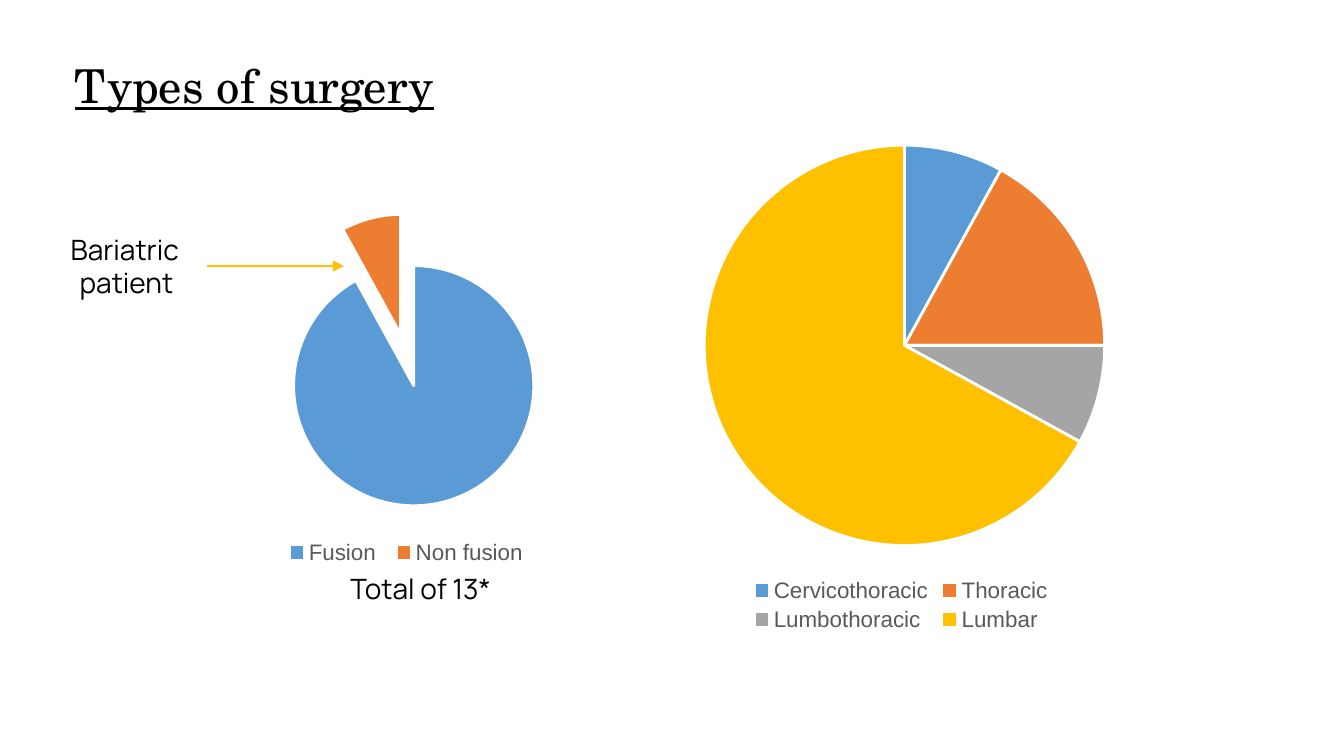
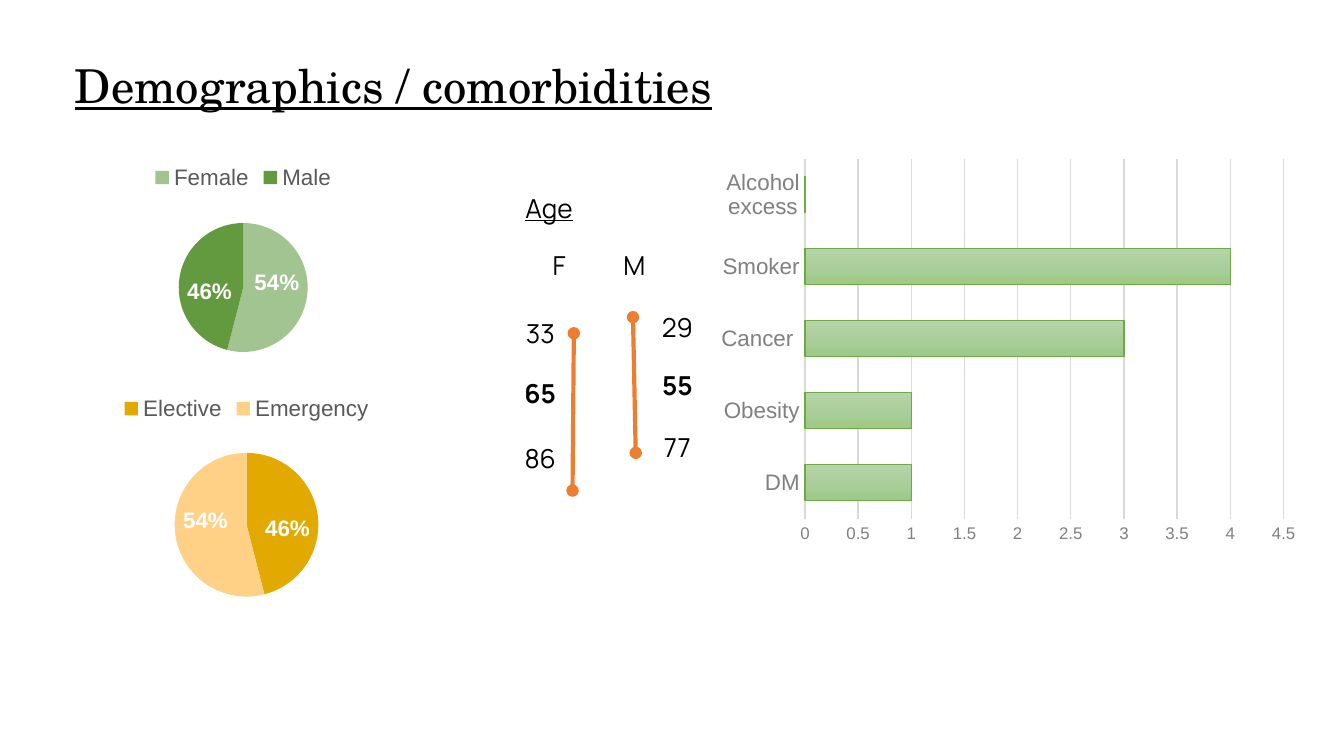
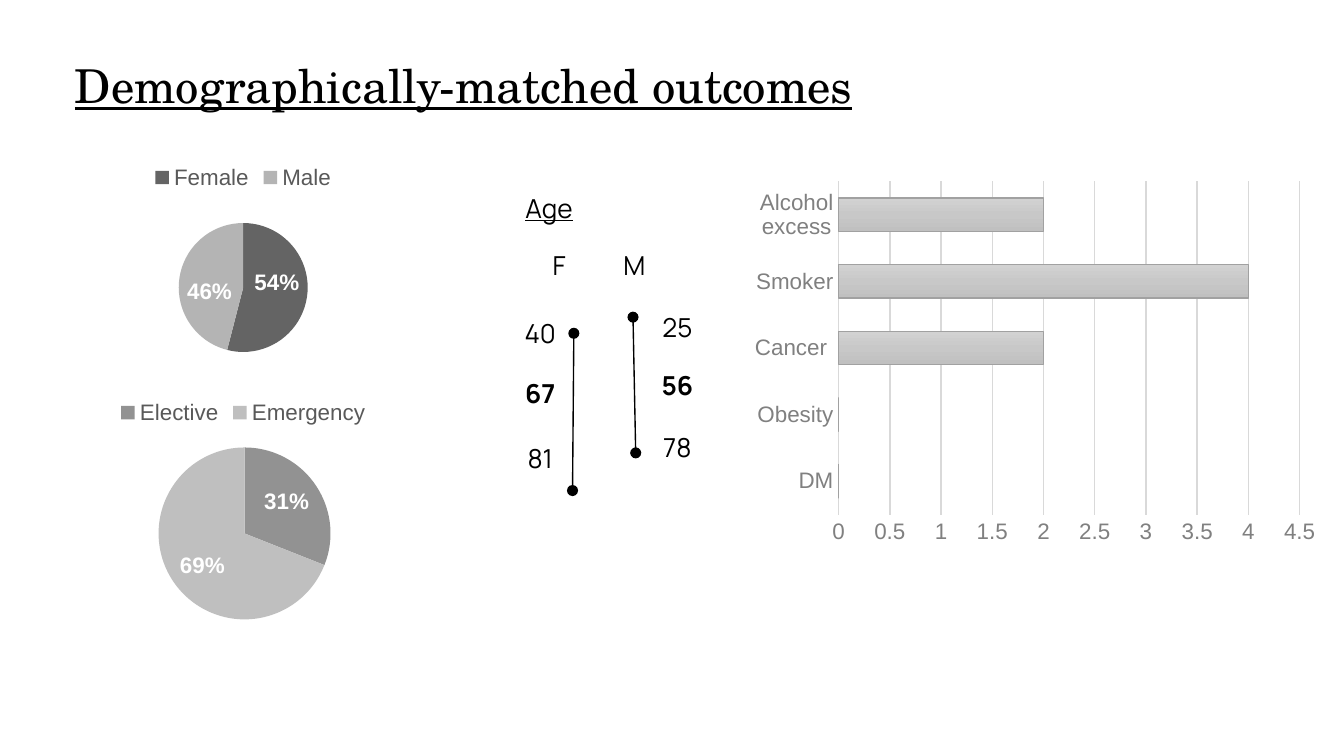
from copy import deepcopy

from lxml import etree
from pptx import Presentation
from pptx.chart.data import CategoryChartData
from pptx.dml.color import RGBColor
from pptx.enum.chart import (XL_CHART_TYPE, XL_LABEL_POSITION,
                             XL_LEGEND_POSITION, XL_TICK_MARK)
from pptx.enum.shapes import MSO_CONNECTOR
from pptx.enum.text import MSO_AUTO_SIZE, PP_ALIGN
from pptx.oxml.ns import qn
from pptx.util import Inches, Pt

PIE = XL_CHART_TYPE.PIE
BAR = XL_CHART_TYPE.BAR_CLUSTERED
TOP = XL_LEGEND_POSITION.TOP
BOTTOM = XL_LEGEND_POSITION.BOTTOM
IN_END = XL_LABEL_POSITION.INSIDE_END
NO_TICK = XL_TICK_MARK.NONE
STRAIGHT = MSO_CONNECTOR.STRAIGHT
GROW, FIXED = MSO_AUTO_SIZE.SHAPE_TO_FIT_TEXT, MSO_AUTO_SIZE.NONE
LEFT, CENTER, RIGHT = PP_ALIGN.LEFT, PP_ALIGN.CENTER, PP_ALIGN.RIGHT

BLACK, WHITE = "000000", "FFFFFF"
DARK, GRAY, PALE = "595959", "808080", "D9D9D9"
BLUE, ORANGE, SILVER, GOLD = "5B9BD5", "ED7D31", "A5A5A5", "FFC000"
HEAD, BODY, LABEL = "TeX Gyre Schola", "Manrope", "Arial"
RISKS = ["DM", "Obesity", "Cancer ", "Smoker", "Alcohol excess"]


def color(code):
    return RGBColor.from_string(code)


def style(font, name, size, code, bold=False, under=False):
    font.name, font.size, font.bold = name, Pt(size), bold
    font.color.rgb = color(code)
    if under:
        font.underline = True


def stroke(line, code, width):
    line.color.rgb = color(code)
    line.width = Pt(width)


class Deck:
    """Holds the shared style and the current slide."""

    def __init__(self):
        self.prs = Presentation()
        self.prs.slide_width = Inches(10)
        self.prs.slide_height = Inches(10 * 9 / 16)
        self.slide = None

    def start(self, title):
        self.slide = self.prs.slides.add_slide(self.prs.slide_layouts[6])
        frame = self.text(title, (0.46, 0.32, 8.9, 0.63), 25, LEFT,
                          name=HEAD, under=True)
        frame.auto_size = FIXED
        frame.margin_top = frame.margin_bottom = Inches(0.1)

    def text(self, words, box, size=14, align=CENTER, name=BODY,
             bold=False, under=False):
        frame = self.slide.shapes.add_textbox(*map(Inches, box)).text_frame
        frame.word_wrap = True
        frame.auto_size = GROW
        para = frame.paragraphs[0]
        para.text = words
        para.alignment = align
        style(para.font, name, size, BLACK, bold, under)
        return frame

    def line(self, start, end, code, width, **ends):
        line = self.slide.shapes.add_connector(
            STRAIGHT, *map(Inches, start + end))
        stroke(line.line, code, width)
        props = line._element.spPr
        for tag, kind in ends.items():
            etree.SubElement(props.find(qn("a:ln")), qn(f"a:{tag}End"), type=kind)
        etree.SubElement(props, qn("a:effectLst"))

    def chart(self, kind, box, plot, names, values):
        data = CategoryChartData()
        data.categories = names
        data.add_series("Series 1", values)
        chart = self.slide.shapes.add_chart(
            kind, *map(Inches, box), data).chart
        style(chart.font, LABEL, 10, BLACK)
        chart.has_title = False
        chart.has_legend = False
        self.place(chart, box, plot)
        return chart

    def place(self, chart, box, plot):
        area = chart._chartSpace.find(".//" + qn("c:plotArea"))
        for old in area.findall(qn("c:layout")):
            area.remove(old)
        layout = etree.Element(qn("c:layout"))
        area.insert(0, layout)
        manual = etree.SubElement(layout, qn("c:manualLayout"))
        x, y, wide, high = box
        left, top, across, down = plot
        parts = {"layoutTarget": "inner", "xMode": "edge", "yMode": "edge",
                 "x": (left - x) / wide, "y": (top - y) / high,
                 "w": across / wide, "h": down / high}
        for tag, value in parts.items():
            etree.SubElement(manual, qn(f"c:{tag}"), val=str(value))

    def pie(self, box, plot, parts, codes, legend=TOP, edge=None, burst=0):
        left, top, size = plot
        chart = self.chart(PIE, box, (left, top, size, size),
                           list(parts), list(parts.values()))
        chart.has_legend = True
        chart.legend.position = legend
        chart.legend.include_in_layout = False
        style(chart.legend.font, LABEL, 12, DARK)
        pie = chart.plots[0]
        pie.vary_by_categories = True
        series = pie.series[0]
        for index, code in enumerate(codes):
            form = series.points[index].format
            form.fill.solid()
            form.fill.fore_color.rgb = color(code)
            if edge:
                stroke(form.line, edge, 1.5)
            else:
                form.line.fill.background()
        if burst:
            node = etree.Element(qn("c:explosion"), val=str(burst))
            series._element.find(qn("c:dPt")).addprevious(node)
        return pie

    def share(self, *args):
        pie = self.pie(*args)
        pie.has_data_labels = True
        labels = pie.data_labels
        labels.show_percentage = True
        labels.show_value = False
        labels.number_format = "0%"
        labels.number_format_is_linked = False
        labels.position = IN_END
        style(labels.font, LABEL, 12, WHITE, True)

    def bars(self, box, plot, values, shades, edge, size):
        chart = self.chart(BAR, box, plot, RISKS, values)
        bar = chart.plots[0]
        bar.gap_width = 100
        bar.vary_by_categories = False
        series = bar.series[0]
        fill = series.format.fill
        fill.gradient()
        fill.gradient_angle = 270
        first = series._element.find(".//" + qn("a:gs"))
        middle = deepcopy(first)
        middle.set("pos", "50000")
        first.addnext(middle)
        for stop, code in zip(fill.gradient_stops, shades):
            stop.color.rgb = color(code)
        stroke(series.format.line, edge, 0.75)
        cats, vals = chart.category_axis, chart.value_axis
        for axis, points in ((cats, 12), (vals, size)):
            axis.major_tick_mark = axis.minor_tick_mark = NO_TICK
            style(axis.tick_labels.font, LABEL, points, GRAY)
        stroke(cats.format.line, PALE, 0.75)
        vals.format.line.fill.background()
        vals.minimum_scale, vals.maximum_scale, vals.major_unit = 0, 4.5, 0.5
        vals.has_major_gridlines = True
        stroke(vals.major_gridlines.format.line, PALE, 0.75)

    def ages(self, women, men, code, width):
        self.text("Age", (3.81, 1.38, 1.01, 0.34), align=LEFT, under=True)
        columns = (("F", 3.92, 3.78, (2.31, 2.76, 3.24), women),
                   ("M", 4.48, 4.8, (2.27, 2.7, 3.16), men))
        for sex, head, left, tops, years in columns:
            self.text(sex, (head, 1.81, 0.48, 0.34))
            for top, age in zip(tops, years):
                self.text(str(age), (left, top, 0.48, 0.34),
                          bold=age == years[1])
        for start, end in (((4.27, 2.48), (4.26, 3.65)),
                           ((4.71, 2.36), (4.73, 3.37))):
            self.line(start, end, code, width, head="oval", tail="oval")

    def sexes(self, codes):
        self.share((0.47, 1.12, 2.68, 1.72), (1.33, 1.66, 0.96),
                   {"Female": 54, "Male": 46}, codes)


def surgery(deck):
    deck.start("Types of surgery")
    deck.pie((1.06, 1.45, 3.93, 2.79), (1.94, 1.59, 2.18),
             {"Fusion ": 92, "Non fusion": 8}, (BLUE, ORANGE),
             BOTTOM, WHITE, 22)
    deck.pie((4.17, 0.94, 5.12, 3.8), (5.24, 1.08, 2.98),
             {"Cervicothoracic": 8, "Thoracic ": 17,
              "Lumbothoracic": 8, "Lumbar ": 67},
             (BLUE, ORANGE, SILVER, GOLD), BOTTOM, WHITE)
    deck.text("Bariatric patient ", (-0.13, 1.68, 1.56, 0.61), 15, RIGHT)
    deck.line((1.54, 1.98), (2.56, 1.98), GOLD, 0.75, tail="triangle")
    deck.text("Total of 13*", (2.51, 4.2, 1.56, 0.35), 15, LEFT)


def cohort(deck):
    deck.start("Demographics / comorbidities")
    deck.sexes(("A1C490", "639A3F"))
    deck.share((0.31, 2.84, 3.05, 1.79), (1.3, 3.37, 1.07),
               {"Elective": 46, "Emergency": 54}, ("E2AA00", "FFD187"))
    deck.ages((33, 65, 86), (29, 55, 77), ORANGE, 2.25)
    deck.bars((5.28, 1.12, 4.45, 2.99), (5.99, 1.18, 3.56, 2.68),
              (1, 1, 3, 4, 0), ("B5D5A7", "AACE9A", "9CC987"), "6EA945", 9)


def matched(deck):
    deck.start("Demographically-matched outcomes")
    deck.sexes(("646464", "B4B4B4"))
    deck.share((0.64, 2.87, 2.34, 1.88), (1.18, 3.33, 1.28),
               {"Elective": 31, "Emergency": 69}, ("929292", "BFBFBF"))
    deck.ages((40, 67, 81), (25, 56, 78), BLACK, 0.75)
    deck.bars((5.52, 1.29, 4.35, 2.81), (6.24, 1.35, 3.43, 2.48),
              (0, 0, 2, 4, 2), ("D2D2D2", "C8C8C8", "C0C0C0"), "A1A1A1", 12)


def main():
    deck = Deck()
    for build in (surgery, cohort, matched):
        build(deck)
    deck.prs.save("out.pptx")


if __name__ == "__main__":
    main()
